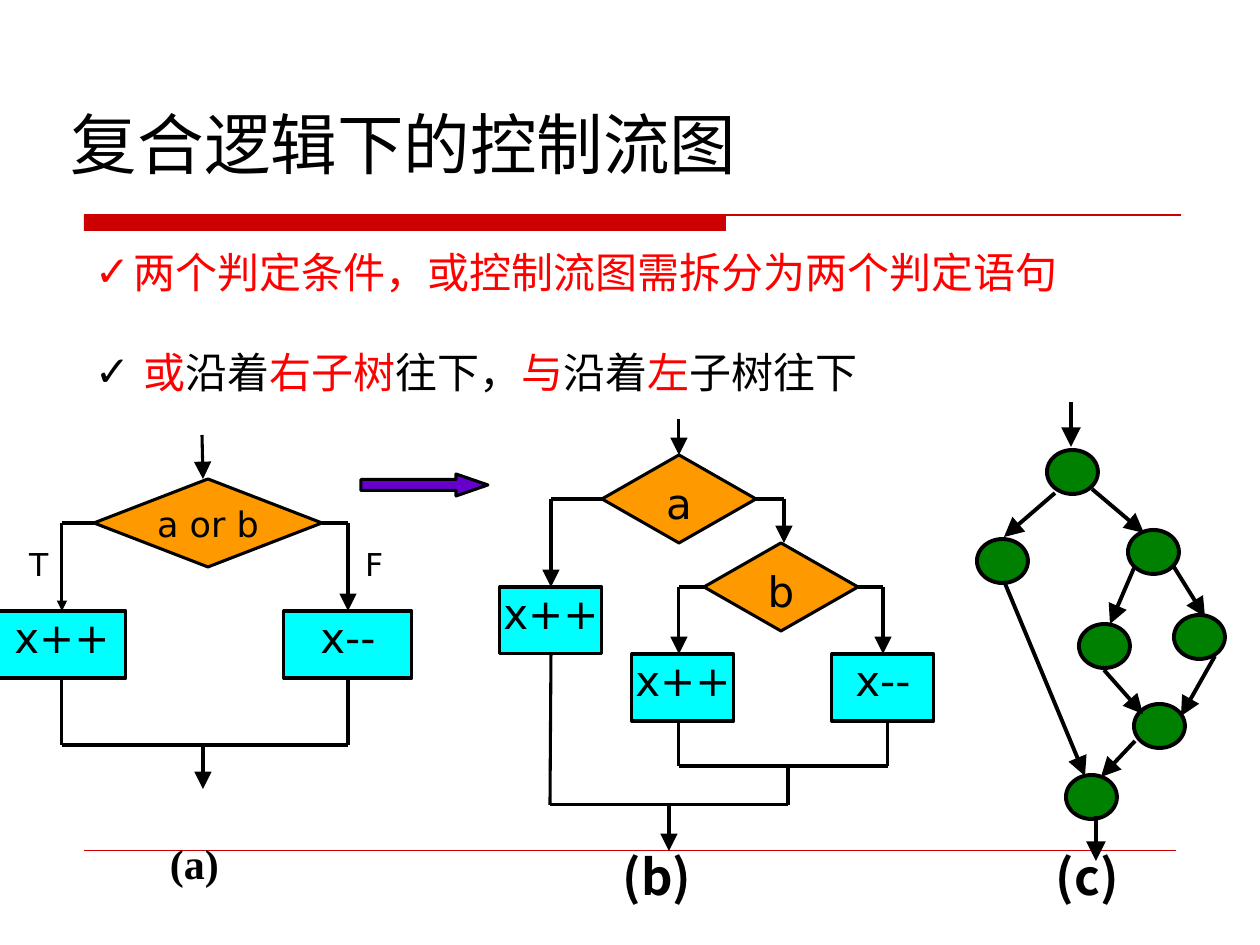
from lxml import etree
from pptx import Presentation, util as u
from pptx.dml.color import RGBColor
from pptx.enum import shapes, text
from pptx.oxml import ns

SCALE = 914400 / 126
BLACK, RED, DARK = "000000", "FF0000", "CC0000"
ORANGE, CYAN, GREEN, PURPLE = "FF9900", "00FFFF", "008000", "6600CC"
SANS, SERIF, CJK = "DejaVu Sans", "Times New Roman", "Noto Sans CJK SC"
SHAPE = shapes.MSO_SHAPE
TOP, BASE = text.MSO_ANCHOR.TOP, text.MSO_ANCHOR.BOTTOM


def px(n):
    return u.Emu(round(n * SCALE))


def color(code):
    return RGBColor.from_string(code)


def style(para, size, face=SANS, bold=False, tint=BLACK):
    font = para.font
    font.size, font.name, font.bold = u.Pt(size), face, bold
    font.color.rgb = color(tint)


def frame(shape, side, edge, anchor=TOP, wrap=True):
    """Set the insets, anchor and wrapping of a shape's text."""
    tf = shape.text_frame
    tf.margin_left = tf.margin_right = px(side)
    tf.margin_top = tf.margin_bottom = px(edge)
    tf.vertical_anchor, tf.word_wrap = anchor, wrap
    return tf


def label(slide, words, box, size, face=SANS, bold=False, side=13, edge=6,
          anchor=TOP, wrap=True):
    shape = slide.shapes.add_textbox(*map(px, box))
    para = frame(shape, side, edge, anchor, wrap).paragraphs[0]
    para.text = words
    if bold:
        para.line_spacing = 0.9
    style(para, size, face, bold)


def solid(slide, kind, box, fill, width=1.75):
    shape = slide.shapes.add_shape(kind, *map(px, box))
    shape.shadow.inherit = False
    shape.fill.solid()
    shape.fill.fore_color.rgb = color(fill)
    if width:
        shape.line.color.rgb = color(BLACK)
        shape.line.width = u.Pt(width)
    else:
        shape.line.fill.background()
    return shape


def node(slide, ports, kind, words, box, fill, size=24):
    """Add a flow chart box and note the middle of each side in ports."""
    shape = solid(slide, kind, box, fill)
    para = frame(shape, 0, 6).paragraphs[0]
    para.text, para.alignment = words, text.PP_ALIGN.CENTER
    para.line_spacing = 0.9
    style(para, size)
    x, y, w, h = box
    sides = [(x + w // 2, y), (x, y + h // 2), (x + w // 2, y + h), (x + w, y + h // 2)]
    for site, spot in enumerate(sides):
        ports[spot] = (shape, site)


def line(slide, start, end, tint=BLACK, width=1.75, arrow="", ports=None):
    """Draw a line; arrow is the size of its head, med or lg, if it has one."""
    conn = slide.shapes.add_connector(
        shapes.MSO_CONNECTOR.STRAIGHT, *map(px, start + end))
    conn.line.color.rgb = color(tint)
    conn.line.width = u.Pt(width)
    props = conn._element.spPr
    if arrow:
        tail = etree.SubElement(conn.line._get_or_add_ln(), ns.qn("a:tailEnd"))
        for key, value in (("type", "triangle"), ("w", arrow), ("len", arrow)):
            tail.set(key, value)
    etree.SubElement(props, ns.qn("a:effectLst"))
    ports = ports or {}
    if start in ports:
        conn.begin_connect(*ports[start])
    if end in ports:
        conn.end_connect(*ports[end])


def route(slide, ports, spots, arrow="lg"):
    """Draw straight lines from spot to spot, with an arrowhead at the last."""
    last = len(spots) - 2
    for i, (start, end) in enumerate(zip(spots, spots[1:])):
        line(slide, start, end, arrow=arrow if i == last else "", ports=ports)


def points(slide, box, items):
    """Add check-marked paragraphs; each item is an indent, mark colour and runs."""
    tf = frame(slide.shapes.add_textbox(*map(px, box)), 13, 6, wrap=False)
    for i, (indent, shade, runs) in enumerate(items):
        para = tf.paragraphs[0] if i == 0 else tf.add_paragraph()
        if i:
            para.space_before = u.Pt(28)
        props = para._p.get_or_add_pPr()
        props.set("marL", str(px(indent)))
        props.set("indent", str(-px(indent)))
        mark = etree.SubElement(props, ns.qn("a:buClr"))
        etree.SubElement(mark, ns.qn("a:srgbClr")).set("val", shade)
        etree.SubElement(props, ns.qn("a:buFont")).set("typeface", SANS)
        etree.SubElement(props, ns.qn("a:buChar")).set("char", "✓")
        style(para, 24, tint=shade)
        for words, tint in runs:
            run = para.add_run()
            run.text = words
            run.font.size, run.font.name = u.Pt(24), SANS
            run.font.color.rgb = color(tint)


def heading(slide):
    solid(slide, SHAPE.RECTANGLE, (84, 215, 642, 16), DARK, 0)
    line(slide, (84, 215), (1181, 215), DARK, 0.75)
    line(slide, (84, 850), (1176, 850), DARK, 0.25)
    label(slide, "复合逻辑下的控制流图", (71, 26, 1150, 157), 38,
          side=0, edge=0, anchor=BASE)
    points(slide, (82, 241, 1060, 164), [
        (39, RED, [("两个判定条件，或控制流图需拆分为两个判定语句", RED)]),
        (49, BLACK, [("或", RED), ("沿着", BLACK), ("右子树", RED), ("往下，", BLACK),
                     ("与", RED), ("沿着", BLACK), ("左", RED), ("子树往下", BLACK)]),
    ])


def joint(slide):
    """Chart (a): one decision on both conditions."""
    ports = {}
    node(slide, ports, SHAPE.FLOWCHART_DECISION, "a or b", (94, 479, 228, 88), ORANGE, 20)
    for words, x in (("x++", -2), ("x--", 284)):
        node(slide, ports, SHAPE.RECTANGLE, words, (x, 611, 128, 67), CYAN)
    route(slide, ports, [(94, 523), (62, 523), (62, 611)], "med")
    route(slide, ports, [(322, 523), (348, 523), (348, 611)])
    route(slide, ports, [(62, 678), (62, 745), (348, 745), (348, 678)], "")
    route(slide, ports, [(203, 745), (203, 789)])
    route(slide, ports, [(202, 435), (203, 479)])
    for words, x in (("T", 23), ("F", 359)):
        label(slide, words, (x, 539, 32, 50), 18, side=6, wrap=False)
    label(slide, "(a)", (157, 837, 102, 67), 24, SERIF, True)


def split(slide):
    """Chart (b): one decision for each condition."""
    ports = {}
    for words, x, y in (("a", 602, 455), ("b", 704, 543)):
        node(slide, ports, SHAPE.FLOWCHART_DECISION, words, (x, y, 154, 88), ORANGE)
    for words, x, y in (("x++", 500, 587), ("x++", 632, 654), ("x--", 832, 654)):
        node(slide, ports, SHAPE.RECTANGLE, words, (x, y, 102, 67), CYAN)
    route(slide, ports, [(679, 419), (679, 455)])
    route(slide, ports, [(602, 499), (551, 499), (551, 587)])
    route(slide, ports, [(756, 499), (784, 499), (784, 543)])
    route(slide, ports, [(704, 587), (679, 587), (679, 654)])
    route(slide, ports, [(858, 587), (883, 587), (883, 654)])
    route(slide, ports, [(679, 721), (679, 766), (888, 766), (888, 721)], "")
    route(slide, ports, [(551, 654), (550, 805), (788, 805), (788, 766)], "")
    route(slide, ports, [(669, 806), (669, 851)])
    label(slide, "(b)", (610, 847, 154, 67), 28, CJK, True)


def graph(slide):
    """Chart (c): the control flow graph."""
    for x, y in ((1047, 450), (977, 539), (1128, 530), (1174, 615),
                 (1079, 624), (1066, 775), (1134, 704)):
        solid(slide, SHAPE.OVAL, (x, y, 51, 44), GREEN, 2.25)
    for start, end in (
            ((1071, 402), (1071, 447)), ((1092, 489), (1144, 533)),
            ((1055, 493), (1004, 537)), ((1174, 567), (1205, 617)),
            ((1134, 568), (1110, 624)), ((1004, 581), (1085, 776)),
            ((1135, 741), (1101, 777)), ((1104, 670), (1143, 714)),
            ((1215, 656), (1181, 716)), ((1096, 816), (1096, 861))):
        line(slide, start, end, width=2.25, arrow="lg")
    label(slide, "(c)", (1043, 847, 149, 67), 28, CJK, True)


def main():
    deck = Presentation()
    deck.slide_width, deck.slide_height = px(1260), px(945)
    slide = deck.slides.add_slide(deck.slide_layouts[6])
    heading(slide)
    joint(slide)
    arrow = solid(slide, SHAPE.RIGHT_ARROW, (361, 474, 127, 22), PURPLE)
    arrow.adjustments[0], arrow.adjustments[1] = 0.5, 1.45
    split(slide)
    graph(slide)
    deck.save("out.pptx")


if __name__ == "__main__":
    main()
